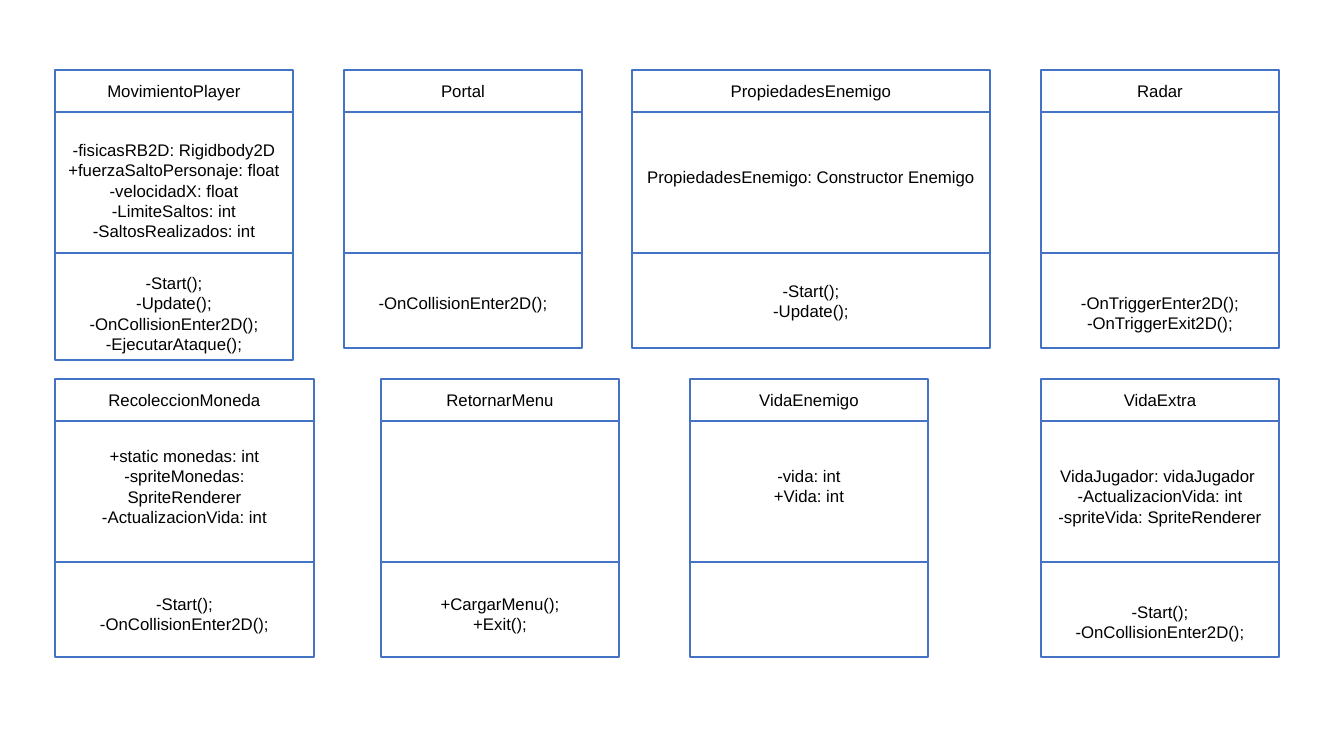
import pptx
import pptx.util
import pptx.dml.color
import pptx.enum.shapes
import pptx.enum.text

EMU_PER_PX = 914400 / 100.8
COLORS = {"fill": "FFFFFF", "line": "4472C4", "text": "000000"}
FONT = "Arial"
HEADER_H, BODY_H, METHODS_H = 42, 141, 95
ROW_1, ROW_2 = 70, 379

# name, left, top, width, (attributes, top inset), (methods, top inset), methods height
CLASSES = [
    ("MovimientoPlayer", 55, ROW_1, 238,
     (["-fisicasRB2D: Rigidbody2D", "+fuerzaSaltoPersonaje: float",
       "-velocidadX: float", "-LimiteSaltos: int", "-SaltosRealizados: int"], 28),
     (["-Start();", "-Update();", "-OnCollisionEnter2D();", "-EjecutarAtaque();"], 20),
     107),
    ("Portal", 344, ROW_1, 238, ([], 0), (["-OnCollisionEnter2D();"], 40), METHODS_H),
    ("PropiedadesEnemigo", 632, ROW_1, 358,
     (["PropiedadesEnemigo: Constructor Enemigo"], 55),
     (["-Start();", "-Update();"], 28), METHODS_H),
    ("Radar", 1041, ROW_1, 238, ([], 0),
     (["-OnTriggerEnter2D();", "-OnTriggerExit2D();"], 40), METHODS_H),
    ("RecoleccionMoneda", 55, ROW_2, 259,
     (["+static monedas: int", "-spriteMonedas: SpriteRenderer",
       "-ActualizacionVida: int"], 25),
     (["-Start();", "-OnCollisionEnter2D();"], 32), METHODS_H),
    ("RetornarMenu", 381, ROW_2, 238, ([], 0),
     (["+CargarMenu();", "+Exit();"], 32), METHODS_H),
    ("VidaEnemigo", 690, ROW_2, 238,
     (["-vida: int", "+Vida: int"], 45), ([], 0), METHODS_H),
    ("VidaExtra", 1041, ROW_2, 238,
     (["VidaJugador: vidaJugador ", "-ActualizacionVida: int",
       "-spriteVida: SpriteRenderer"], 45),
     (["-Start();", "-OnCollisionEnter2D();"], 40), METHODS_H),
]


def px(n):
    return pptx.util.Emu(round(n * EMU_PER_PX))


def rgb(name):
    return pptx.dml.color.RGBColor.from_string(COLORS[name])


def add_lines(tf, lines):
    for i, line in enumerate(lines):
        p = tf.paragraphs[0] if i == 0 else tf.add_paragraph()
        p.alignment = pptx.enum.text.PP_ALIGN.CENTER
        r = p.add_run()
        r.text = line
        r.font.name = FONT
        r.font.size = pptx.util.Pt(12)
        r.font.color.rgb = rgb("text")


def add_box(s, left, top, width, height, lines, inset=None):
    """Outlined box; its text is centred vertically unless a top inset is given."""
    sp = s.shapes.add_shape(pptx.enum.shapes.MSO_SHAPE.RECTANGLE,
                            px(left), px(top), px(width), px(height))
    sp.shadow.inherit = False
    sp.fill.solid()
    sp.fill.fore_color.rgb = rgb("fill")
    sp.line.color.rgb = rgb("line")
    sp.line.width = pptx.util.Pt(1)
    tf = sp.text_frame
    tf.word_wrap = True
    tf.margin_left = tf.margin_right = px(10)
    tf.margin_top = tf.margin_bottom = px(5)
    tf.vertical_anchor = pptx.enum.text.MSO_ANCHOR.MIDDLE
    if inset is not None:
        tf.vertical_anchor = pptx.enum.text.MSO_ANCHOR.TOP
        tf.margin_top = px(inset)
    add_lines(tf, lines)


def add_class(s, name, left, top, width, attributes, methods, methods_h):
    add_box(s, left, top, width, HEADER_H, [name])
    add_box(s, left, top + HEADER_H, width, BODY_H, *attributes)
    add_box(s, left, top + HEADER_H + BODY_H, width, methods_h, *methods)


def main():
    prs = pptx.Presentation()
    prs.slide_width, prs.slide_height = px(1344), px(756)
    s = prs.slides.add_slide(prs.slide_layouts[6])

    # Class diagram, two rows of four classes
    for uml_class in CLASSES:
        add_class(s, *uml_class)

    prs.save("out.pptx")


main()
